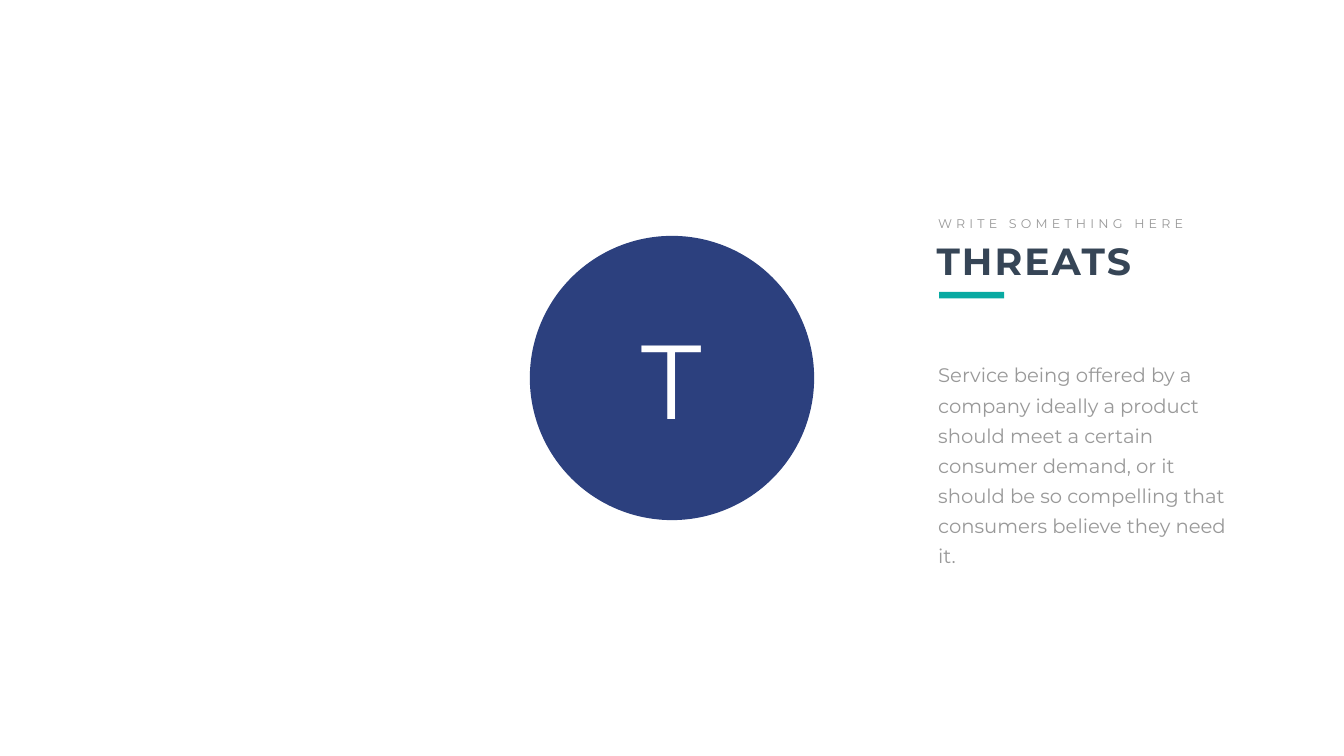
"""Build the Threats slide: a lettered circle beside a heading and a paragraph."""
from pptx import Presentation
from pptx.dml.color import RGBColor
from pptx.enum.shapes import MSO_SHAPE
from pptx.enum.text import MSO_AUTO_SIZE, PP_ALIGN
from pptx.util import Inches, Pt

COLORS = {
    "navy": "2C407E",
    "teal": "08AAA2",
    "slate": "364556",
    "gray": "999999",
    "white": "FFFFFF",
}


def add_block(page, kind, left, top, width, height, color):
    block = page.shapes.add_shape(
        kind, Inches(left), Inches(top), Inches(width), Inches(height)
    )
    block.shadow.inherit = False
    block.fill.solid()
    block.fill.fore_color.rgb = RGBColor.from_string(COLORS[color])
    block.line.fill.background()
    return block


def add_text(page, left, top, width, height, text, size, color, spacing=0):
    box = page.shapes.add_textbox(
        Inches(left), Inches(top), Inches(width), Inches(height)
    )
    frame = box.text_frame
    frame.text = text
    frame.word_wrap = True
    frame.auto_size = MSO_AUTO_SIZE.SHAPE_TO_FIT_TEXT
    font = frame.paragraphs[0].runs[0].font
    font.name = "Montserrat"
    font.size = Pt(size)
    font.color.rgb = RGBColor.from_string(COLORS[color])
    if spacing:
        frame.paragraphs[0].runs[0]._r.get_or_add_rPr().set("spc", str(spacing * 100))
    return frame


deck = Presentation()
deck.slide_width = Inches(26.66)
deck.slide_height = Inches(15)
page = deck.slides.add_slide(deck.slide_layouts[6])

add_block(page, MSO_SHAPE.OVAL, 10.51, 4.68, 5.64, 5.64, "navy")
letter = add_text(page, 11.62, 6.19, 3.41, 2.63, "T", 150, "white")
letter.paragraphs[0].alignment = PP_ALIGN.CENTER

title = add_text(page, 18.48, 4.66, 6.59, 1.01, "THREATS", 54, "slate", 3)
title.paragraphs[0].runs[0].font.bold = True

subtitle = add_text(
    page, 18.51, 4.24, 5.18, 0.4, "WRITE SOMETHING HERE", 18, "gray", 6
)
subtitle.word_wrap = False

add_block(page, MSO_SHAPE.RECTANGLE, 18.63, 5.79, 1.29, 0.13, "teal")

body = add_text(
    page, 18.37, 6.96, 6.59, 3.8,
    "Service being offered by a company ideally a product should meet a certain "
    "consumer demand, or it should be so compelling that consumers believe they "
    "need it.",
    28, "gray",
)
body.margin_left = body.margin_right = Inches(0.24)
body.margin_top = body.margin_bottom = Inches(0.12)
body.paragraphs[0].line_spacing = Pt(43)

deck.save("out.pptx")
